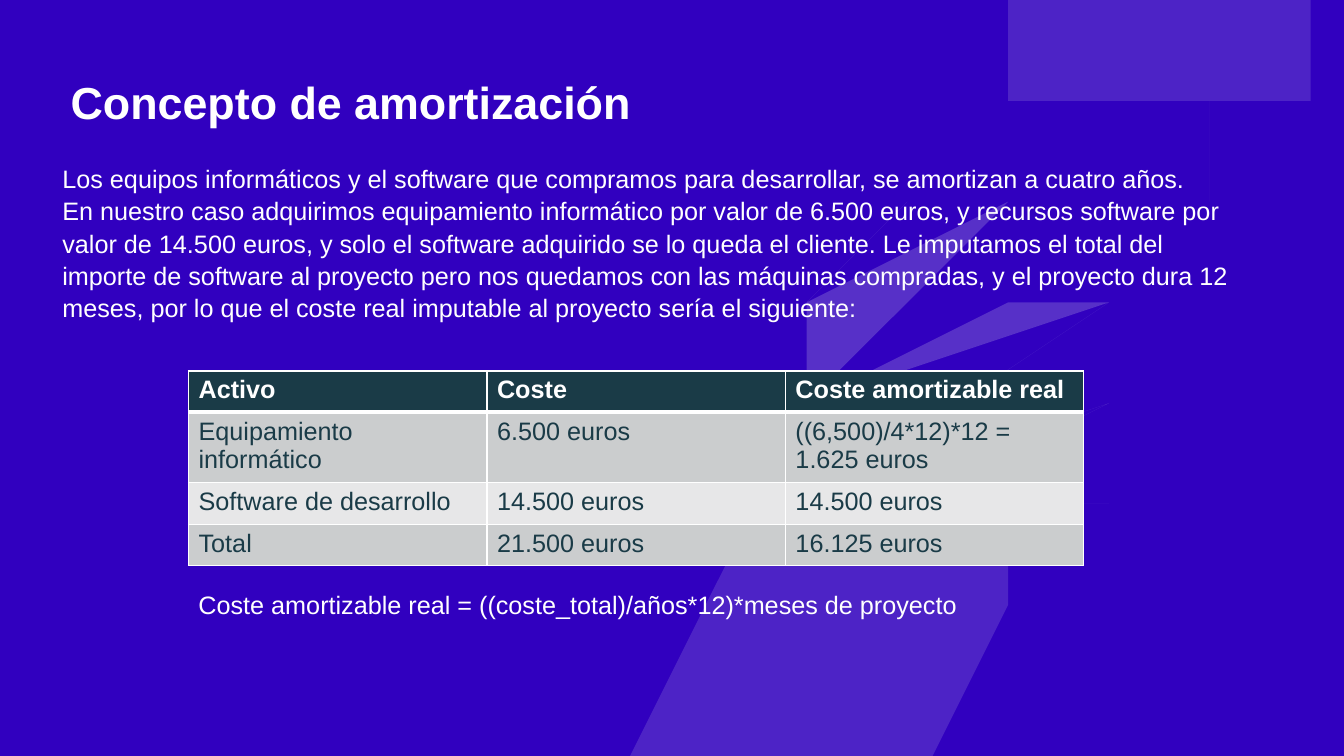
from math import cos, radians, sin, sqrt

from lxml.etree import SubElement
from pptx import Presentation
from pptx.dml.color import RGBColor
from pptx.enum.text import MSO_ANCHOR, MSO_AUTO_SIZE, PP_ALIGN
from pptx.oxml.ns import qn
from pptx.util import Inches, Pt

FONT = "Arial"
COLORS = {"background": "3100BF", "white": "FFFFFF", "decor": "F0F0F0",
          "ink": "1A3B47", "odd_row": "CBCDCE", "even_row": "E7E7E8"}

TITLE = "Concepto de amortización"
INTRO = [
    "Los equipos informáticos y el software que compramos para desarrollar, "
    "se amortizan a cuatro años.",
    "En nuestro caso adquirimos equipamiento informático por valor de 6.500 euros, "
    "y recursos software por valor de 14.500 euros, y solo el software adquirido se lo "
    "queda el cliente. Le imputamos el total del importe de software al proyecto pero "
    "nos quedamos con las máquinas compradas, y el proyecto dura 12 meses, por lo que "
    "el coste real imputable al proyecto sería el siguiente:",
]
ASSETS = [
    ("Activo", "Coste", "Coste amortizable real"),
    ("Equipamiento informático", "6.500 euros", "((6,500)/4*12)*12 = 1.625 euros"),
    ("Software de desarrollo", "14.500 euros", "14.500 euros"),
    ("Total", "21.500 euros", "16.125 euros"),
]
FORMULA = ["Coste amortizable real = ((coste_total)/años*12)*meses de proyecto"]

WIDTH, HEIGHT = 13.33, 7.5
COLUMN, ROW = 2.96, 0.41
TILT = radians(30)
STRIPES = {"center": (9.54, 3.91), "radius": 1.54, "count": 40,
           "first": -1.5, "last": 1.51, "thickness": 0.02}


def rgb(name):
    return RGBColor.from_string(COLORS[name])


def write(frame, lines, size=18, color="white", bold=False, spacing=None):
    frame.word_wrap = True
    for index, line in enumerate(lines):
        para = frame.paragraphs[0] if index == 0 else frame.add_paragraph()
        para.alignment = PP_ALIGN.LEFT
        if spacing:
            para.line_spacing = spacing
        span = para.add_run()
        span.text = line
        span.font.name, span.font.size, span.font.bold = FONT, Pt(size), bold
        span.font.color.rgb = rgb(color)


def add_text(page, box, lines, **style):
    frame = page.shapes.add_textbox(*map(Inches, box)).text_frame
    write(frame, lines, **style)


def arc(center, radius, start, end, step=3):
    """Points along a circle, in degrees clockwise from the right."""
    return [(center[0] + radius * cos(radians(angle)),
             center[1] + radius * sin(radians(angle)))
            for angle in range(start, end + 1, step)]


def add_outline(page, contours, opacity):
    """Draw closed contours as one translucent shape."""
    builder = None
    for first, *rest in contours:
        if builder is None:
            builder = page.shapes.build_freeform(*first, scale=Inches(1))
        else:
            builder.move_to(*first)
        builder.add_line_segments(rest, close=True)
    shape = builder.convert_to_shape()
    shape.shadow.inherit = False
    shape.line.fill.background()
    shape.fill.solid()
    shape.fill.fore_color.rgb = rgb("decor")
    color = shape.fill._xPr.find(qn("a:solidFill"))[0]
    SubElement(color, qn("a:alpha")).set("val", str(opacity * 1000))


def stripe_contours(center, radius, count, first, last, thickness):
    """Tilted bands cut to a circle, evenly spaced across it."""
    def point(along, across):
        return (center[0] + along * cos(TILT) + across * sin(TILT),
                center[1] - along * sin(TILT) + across * cos(TILT))

    for index in range(count):
        near = first + index * (last - first) / (count - 1)
        far = near + thickness
        near_half, far_half = (sqrt(max(radius ** 2 - edge ** 2, 0)) for edge in (near, far))
        yield [point(-near_half, near), point(near_half, near),
               point(far_half, far), point(-far_half, far)]


def set_borders(cell, **widths):
    """Put white borders, in points, before the fill of the cell."""
    properties = cell._tc.get_or_add_tcPr()
    for position, (side, width) in enumerate(widths.items()):
        line = SubElement(properties, qn(f"a:ln{side}"), w=str(Pt(width)))
        fill = SubElement(line, qn("a:solidFill"))
        SubElement(fill, qn("a:srgbClr"), val=COLORS["white"])
        properties.insert(position, line)


def add_assets_table(page, left, top):
    rows, columns = len(ASSETS), len(ASSETS[0])
    table = page.shapes.add_table(rows, columns, Inches(left), Inches(top),
                                  Inches(COLUMN * columns), Inches(ROW * rows)).table
    for column in table.columns:
        column.width = Inches(COLUMN)
    for r, texts in enumerate(ASSETS):
        table.rows[r].height = Inches(ROW)
        fill = "ink" if r == 0 else "odd_row" if r % 2 else "even_row"
        for c, text in enumerate(texts):
            cell = table.cell(r, c)
            write(cell.text_frame, [text], bold=r == 0, color="ink" if r else "white")
            cell.fill.solid()
            cell.fill.fore_color.rgb = rgb(fill)
            set_borders(cell, L=1, R=1, T=3 if r == 1 else 1, B=3 if r == 0 else 1)


def main():
    deck = Presentation()
    deck.slide_width, deck.slide_height = Inches(WIDTH), Inches(HEIGHT)
    page = deck.slides.add_slide(deck.slide_layouts[5])
    page.background.fill.solid()
    page.background.fill.fore_color.rgb = rgb("background")

    title = page.shapes.title
    title.left, title.top, title.width, title.height = map(Inches, (0.6, 0.58, 11.88, 1.1))
    title.text_frame.auto_size = MSO_AUTO_SIZE.NONE
    title.text_frame.vertical_anchor = MSO_ANCHOR.TOP
    write(title.text_frame, [TITLE], size=32, bold=True, spacing=1.2)

    add_outline(page, stripe_contours(**STRIPES), opacity=20)
    add_outline(page, [arc((11.82, 0), 1.52, 0, 180)], opacity=15)
    capsule = arc((8.83, 5.23), 1.53, 210, 390) + [(9.29, HEIGHT), (5.74, HEIGHT)]
    add_outline(page, [capsule], opacity=15)

    add_text(page, (0.52, 1.55, 11.89, 2.83), INTRO, spacing=1.07)
    add_assets_table(page, left=1.87, top=3.68)
    add_text(page, (1.87, 5.8, 8.97, 0.4), FORMULA)
    deck.save("out.pptx")


if __name__ == "__main__":
    main()
